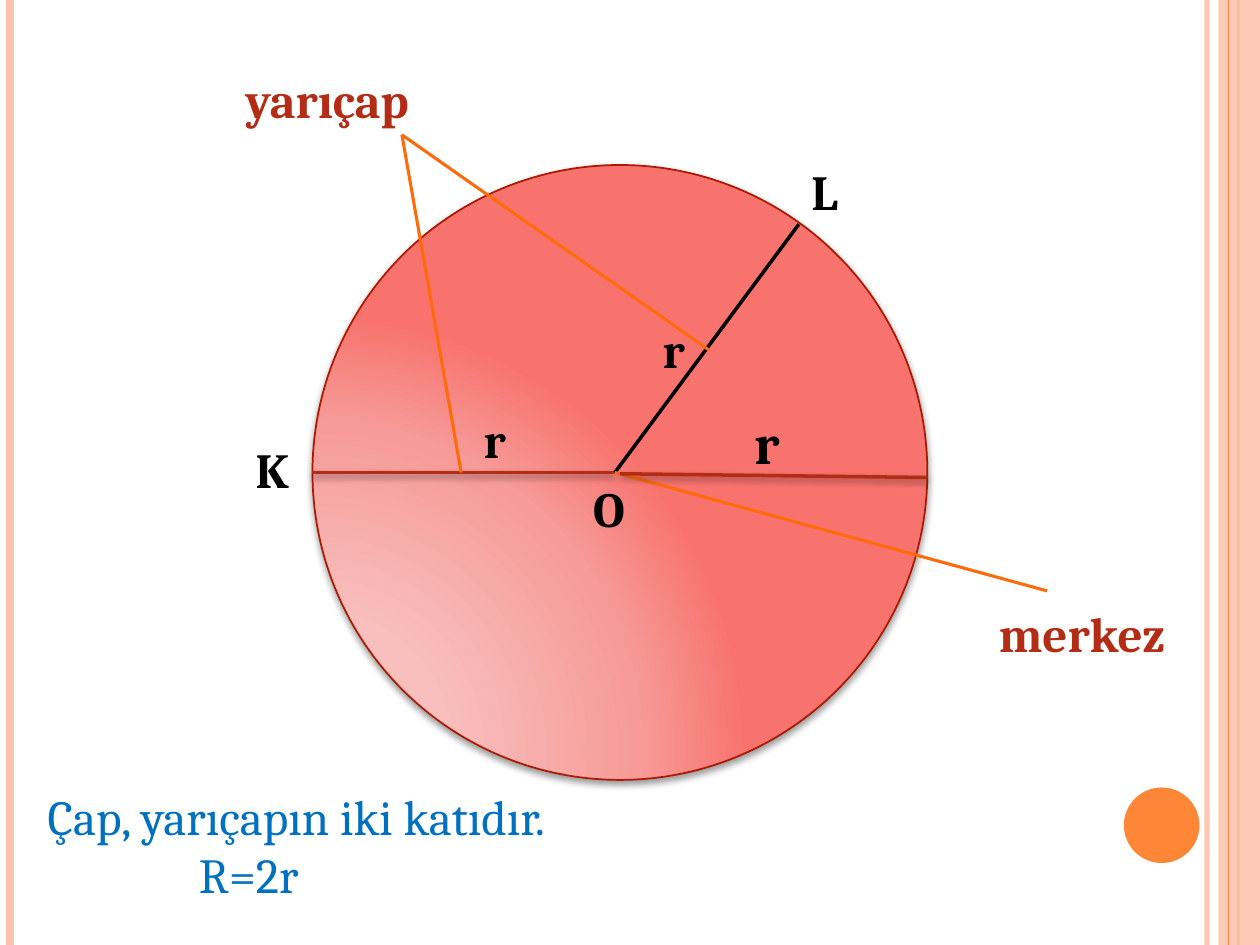
from dataclasses import dataclass

from lxml.etree import SubElement
from pptx import Presentation
from pptx.dml.color import RGBColor
from pptx.enum.shapes import MSO_CONNECTOR, MSO_SHAPE
from pptx.oxml.ns import qn
from pptx.util import Inches, Pt

COLUMNS, ROWS = 100, 75
SLIDE_WIDTH, SLIDE_HEIGHT = Inches(10), Inches(7.5)


@dataclass(frozen=True)
class Theme:
    """Colours, font and type sizes of the slide."""

    font: str = "Cambria"
    label_size: int = 28
    large_size: int = 32
    ink: str = "000000"
    brick: str = "B32C16"
    outline: str = "AC1800"
    pointer: str = "FF6B0A"
    note: str = "0070C0"
    peach: str = "FEC3AE"
    orange: str = "FE8637"
    disc: tuple = ((0, "F8C5C3"), (30, "F8BFBD"), (75, "F69B98"), (100, "F8736E"))


@dataclass(frozen=True)
class Box:
    """A region in grid columns and rows."""

    left: float
    top: float
    width: float
    height: float

    def point(self, column, row):
        """Return slide lengths for an offset inside the region."""
        return (round((self.left + column) * SLIDE_WIDTH / COLUMNS),
                round((self.top + row) * SLIDE_HEIGHT / ROWS))

    def size(self):
        """Return the region's width and height as slide lengths."""
        return Box(0, 0, 0, 0).point(self.width, self.height)

    def inner(self, column, row, width, height):
        """Return a region offset from this one."""
        return Box(self.left + column, self.top + row, width, height)


THEME = Theme()


def add_alpha(color, percent):
    """Make a colour element partly transparent."""
    SubElement(color, qn("a:alpha"), val=str(percent * 1000))


def set_effects(shape, shadow=False):
    """Replace inherited effects with none or with a soft drop shadow."""
    effects = SubElement(shape._element.spPr, qn("a:effectLst"))
    if shadow:
        outer = SubElement(effects, qn("a:outerShdw"), blurRad=str(Pt(4)),
                           dist=str(Pt(2)), dir="5400000", rotWithShape="0")
        add_alpha(SubElement(outer, qn("a:srgbClr"), val=THEME.ink), 40)


def add_line(slide, box, start, end, color, width, shadow=False, alpha=None):
    """Draw a straight line between two offsets in a region."""
    line = slide.shapes.add_connector(
        MSO_CONNECTOR.STRAIGHT, *box.point(*start), *box.point(*end))
    line.line.color.rgb = RGBColor.from_string(color)
    line.line.width = Pt(width)
    if alpha:
        add_alpha(line._element.spPr.find(".//" + qn("a:srgbClr")), alpha)
    set_effects(line, shadow)


def add_solid(slide, box, kind, color, alpha=None):
    """Draw a filled preset shape without an outline."""
    shape = slide.shapes.add_shape(kind, *box.point(0, 0), *box.size())
    shape.shadow.inherit = False
    shape.fill.solid()
    shape.fill.fore_color.rgb = RGBColor.from_string(color)
    shape.line.fill.background()
    if alpha:
        add_alpha(shape._element.spPr.find(".//" + qn("a:srgbClr")), alpha)


def add_text(slide, box, *lines, color=THEME.ink, size=THEME.label_size,
             bold=True, indents=()):
    """Write lines of text in a region, with optional indents in inches."""
    shape = slide.shapes.add_textbox(*box.point(0, 0), *box.size())
    frame = shape.text_frame
    frame.word_wrap = True
    frame.text = "\n".join(lines)
    for paragraph, indent in zip(frame.paragraphs, indents):
        paragraph._p.get_or_add_pPr().set("marL", str(Inches(indent)))
    for paragraph in frame.paragraphs:
        font = paragraph.font
        font.name, font.size, font.bold = THEME.font, Pt(size), bold
        font.color.rgb = RGBColor.from_string(color)


def add_disc(slide, box):
    """Draw the circle with a radial gradient from its lower left."""
    disc = slide.shapes.add_shape(MSO_SHAPE.OVAL, *box.point(0, 0), *box.size())
    disc.line.color.rgb = RGBColor.from_string(THEME.outline)
    disc.line.width = Pt(1)
    disc.fill.gradient()
    gradient = disc._element.spPr.find(qn("a:gradFill"))
    for child in list(gradient):
        gradient.remove(child)
    stops = SubElement(gradient, qn("a:gsLst"))
    for position, color in THEME.disc:
        stop = SubElement(stops, qn("a:gs"), pos=str(position * 1000))
        SubElement(stop, qn("a:srgbClr"), val=color)
    radial = SubElement(gradient, qn("a:path"), path="circle")
    SubElement(radial, qn("a:fillToRect"), l="5000", t="100000", r="120000", b="10000")
    set_effects(disc, shadow=True)


def add_frame(slide, box):
    """Draw the vertical stripes and the corner dot."""
    def stripe(column, color, width, alpha=None):
        add_line(slide, box, (column, 0), (column, box.height), color, width, alpha=alpha)

    stripe(95.8, THEME.peach, 3, 93)
    stripe(0.8, THEME.peach, 4.5)
    stripe(98.3, THEME.orange, 1.5)
    add_solid(slide, box.inner(96.7, 0, 3.3, box.height),
              MSO_SHAPE.RECTANGLE, THEME.peach, 87)
    stripe(97.5, THEME.orange, 0.75)
    add_solid(slide, box.inner(89.2, 62.5, 6, 6), MSO_SHAPE.OVAL, THEME.orange)


def add_circle_diagram(slide, box):
    """Draw the circle, its radii, pointers and labels."""
    center, point_k, point_l = (24, 24.4), (0, 24.4), (38.6, 4.7)
    radius_tip, center_tip = (7.1, -2.4), (58.3, 33.8)
    add_disc(slide, box)
    add_line(slide, box, point_k, center, THEME.brick, 2, shadow=True)
    add_line(slide, box, center, point_l, THEME.ink, 2)
    for start, end in (((31.5, 14.7), radius_tip), ((11.8, 24.4), radius_tip),
                       (center, center_tip)):
        add_line(slide, box, start, end, THEME.pointer, 1.75)
    add_line(slide, box, (24.4, 24.5), (box.width, 24.8), THEME.brick, 2, shadow=True)

    for text, column, row, width in (("O", 21.3, 24.4, 5.5), ("K", -5.5, 21.3, 6.3),
                                     ("L", 38.6, -0.8, 7.9), ("r", 12.6, 18.9, 6.3),
                                     ("r", 26.8, 11.8, 5.5)):
        add_text(slide, box.inner(column, row, width, 5.7), text)
    add_text(slide, box.inner(34.1, 18.8, 14.2, 6.4), "r", size=THEME.large_size)
    for text, column, row, width in (("yarıçap", -6.3, -8.1, 18.9),
                                     ("merkez", 53.5, 34.3, 19.7)):
        add_text(slide, box.inner(column, row, width, 5.7), text, color=THEME.brick)


def add_rule(slide, box):
    """Write the rule that links diameter and radius."""
    add_text(slide, box, "Çap, yarıçapın iki katıdır.", "R=2r",
             color=THEME.note, bold=False, indents=(0, 1.2))


def main():
    """Build and save the presentation."""
    presentation = Presentation()
    presentation.slide_width, presentation.slide_height = SLIDE_WIDTH, SLIDE_HEIGHT
    slide = presentation.slides.add_slide(presentation.slide_layouts[6])
    add_frame(slide, Box(0, 0, COLUMNS, ROWS))
    add_circle_diagram(slide, Box(24.8, 13.1, 48.8, 48.8))
    add_rule(slide, Box(2.8, 61.9, 101.8, 10.4))
    presentation.save("out.pptx")


if __name__ == "__main__":
    main()
